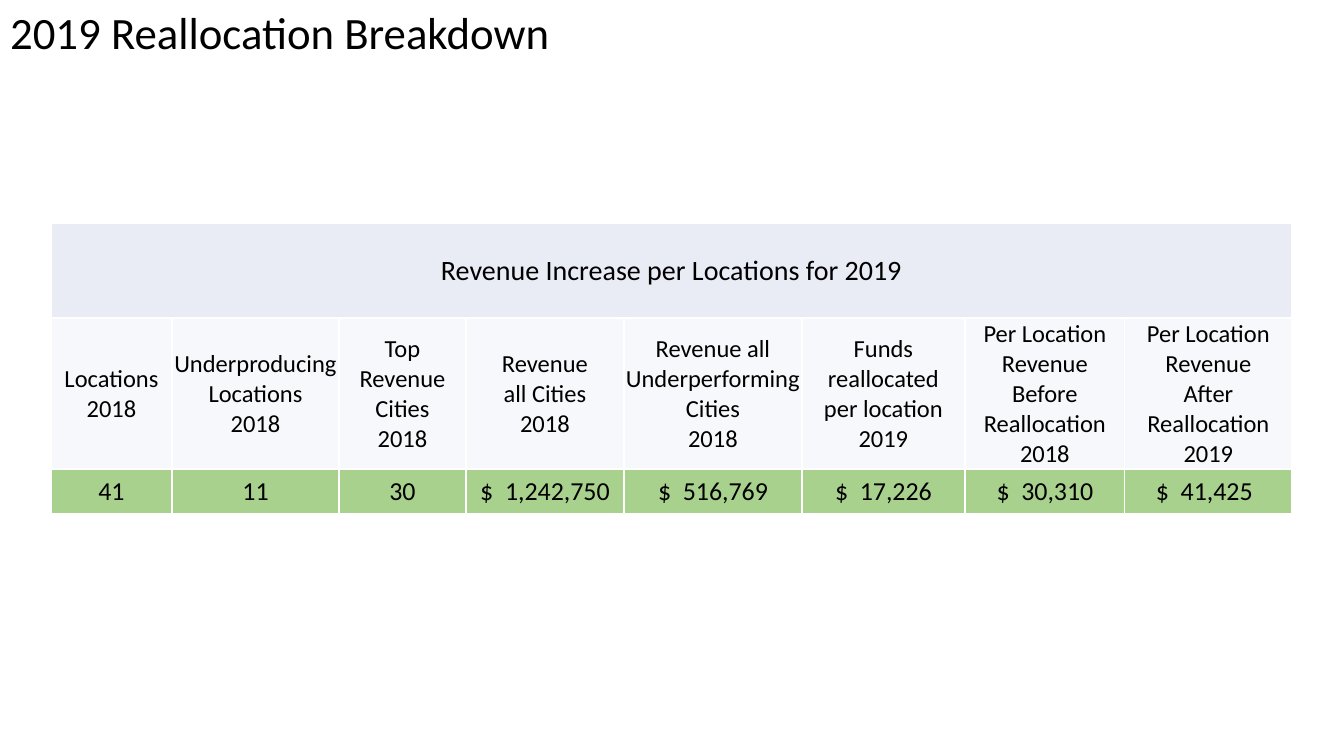
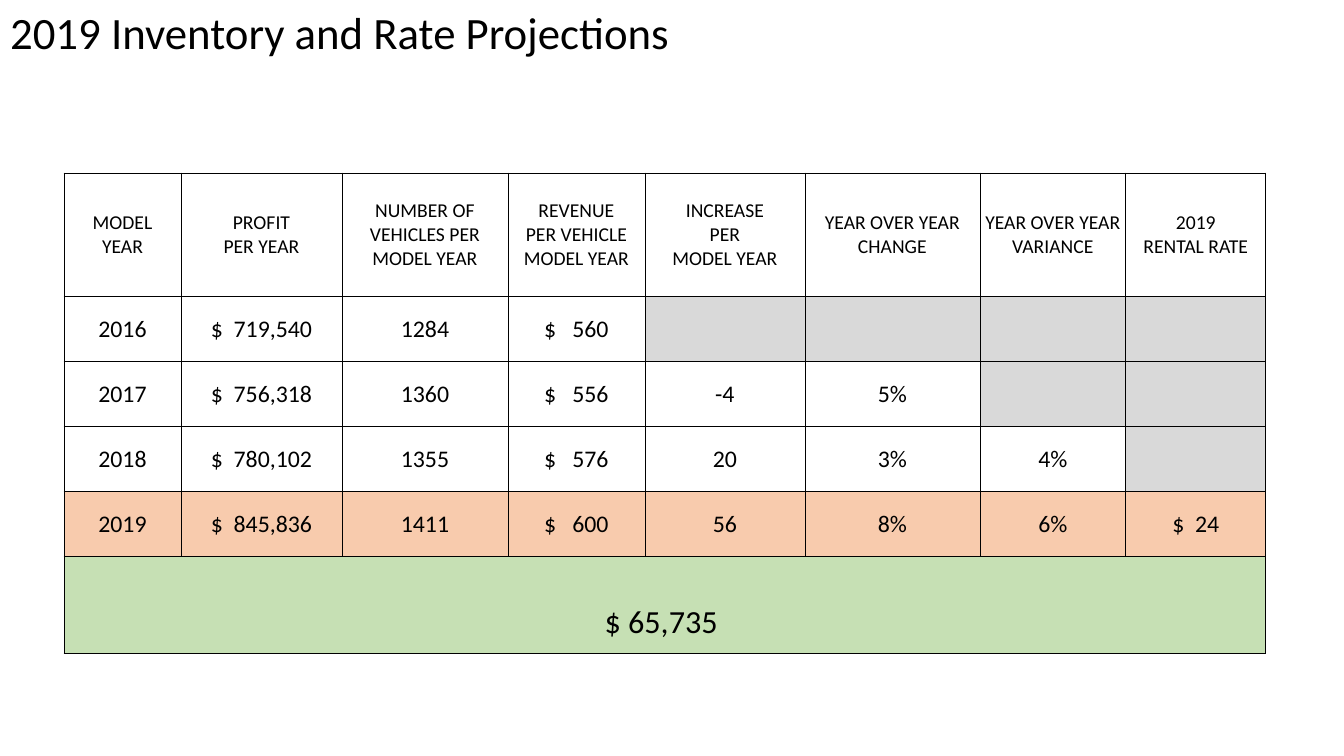
from lxml.etree import SubElement
from pptx import Presentation
from pptx.dml.color import RGBColor
from pptx.enum.text import MSO_ANCHOR as Anchor, MSO_AUTO_SIZE as AutoSize, PP_ALIGN as Align
from pptx.oxml.ns import qn
from pptx.util import Emu, Pt

EMU_PER_PX = 914400 / 100.8
BLACK, WHITE = "000000", "FFFFFF"
PALE, GREEN, MINT = "E9EBF5", "A9D18E", "C6E0B4"
GREY, PEACH = "D9D9D9", "F8CBAD"


def px(length):
    return Emu(round(length * EMU_PER_PX))


def color(value):
    return RGBColor.from_string(value)


class Deck:
    font = "Calibri"
    title_size = 32
    cell_margins = (1, 1, 1, 0)

    def __init__(self):
        self.presentation = Presentation()
        self.presentation.slide_width = px(1344)
        self.presentation.slide_height = px(756)
        self.slide = None

    def add_slide(self, title, title_width):
        layout = self.presentation.slide_layouts[5]
        self.slide = self.presentation.slides.add_slide(layout)
        shape = self.slide.shapes.title
        shape.left, shape.top = px(0), px(0)
        shape.width, shape.height = px(title_width), px(64)
        frame = shape.text_frame
        frame.word_wrap = True
        frame.auto_size = AutoSize.NONE
        frame.vertical_anchor = Anchor.TOP
        self.add_text(frame, title, self.title_size, Align.LEFT)

    def add_text(self, frame, text, size, align=Align.CENTER):
        for index, line in enumerate(text.split("\n")):
            paragraph = frame.add_paragraph() if index else frame.paragraphs[0]
            paragraph.alignment = align
            run = paragraph.add_run()
            run.text = line
            run.font.name = self.font
            run.font.size = Pt(size)
            run.font.color.rgb = color(BLACK)

    def set_margins(self, cell, left, top, right, bottom):
        cell.margin_left, cell.margin_top = px(left), px(top)
        cell.margin_right, cell.margin_bottom = px(right), px(bottom)

    def add_borders(self, cell, line_color, points):
        properties = cell._tc.get_or_add_tcPr()
        for side in ("lnL", "lnR", "lnT", "lnB"):
            line = SubElement(properties, qn(f"a:{side}"), w=str(Pt(points)))
            fill = SubElement(line, qn("a:solidFill"))
            SubElement(fill, qn("a:srgbClr"), val=line_color)

    def fill_cell(self, cell, fill, opacity=100):
        if fill is None:
            cell.fill.background()
            return
        cell.fill.solid()
        cell.fill.fore_color.rgb = color(fill)
        if opacity < 100:
            rgb = cell._tc.tcPr.find(f"{qn('a:solidFill')}/{qn('a:srgbClr')}")
            SubElement(rgb, qn("a:alpha"), val=str(opacity * 1000))

    def add_table(self, left, top, widths, rows, border):
        heights = [row["height"] for row in rows]
        table = self.slide.shapes.add_table(
            len(rows), len(widths), px(left), px(top), px(sum(widths)), px(sum(heights))
        ).table
        table.first_row = table.horz_banding = False
        for column, width in zip(table.columns, widths):
            column.width = px(width)
        for row_index, row in enumerate(rows):
            table.rows[row_index].height = px(row["height"])
            texts = row["texts"]
            for cell in table.rows[row_index].cells:
                self.set_margins(cell, *self.cell_margins)
                cell.vertical_anchor = Anchor.MIDDLE
                self.add_borders(cell, *border)
            if len(texts) == 1:
                table.cell(row_index, 0).merge(table.cell(row_index, len(widths) - 1))
            for column_index, text in enumerate(texts):
                cell = table.cell(row_index, column_index)
                if text is None:
                    self.fill_cell(cell, GREY)
                else:
                    self.fill_cell(cell, row.get("fill"), row.get("opacity", 100))
                    self.add_text(cell.text_frame, text, row["size"])
        return table


def add_reallocation(deck):
    deck.add_slide("2019 Reallocation Breakdown", 672)
    headings = [
        "Locations\n2018",
        "Underproducing Locations\n2018",
        "Top Revenue Cities\n2018",
        "Revenue\nall Cities\n2018",
        "Revenue all Underperforming Cities\n2018",
        "Funds reallocated\nper location\n2019",
        "Per Location Revenue\nBefore\nReallocation 2018",
        "Per Location Revenue\nAfter\nReallocation 2019",
    ]
    values = ["41", "11", "30", "$  1,242,750", "$  516,769", "$  17,226",
              "$  30,310", "$  41,425"]
    rows = [
        dict(height=95, size=20, fill=PALE, texts=["Revenue Increase per Locations for 2019"]),
        dict(height=151, size=17.5, fill=PALE, opacity=34, texts=headings),
        dict(height=45, size=18.5, fill=GREEN, texts=values),
    ]
    widths = [121, 167, 127, 158, 178, 163, 160, 167]
    table = deck.add_table(51, 223, widths, rows, (WHITE, 1))
    after_value = table.cell(2, 7)
    after_value.text_frame.paragraphs[0].alignment = Align.LEFT
    after_value.margin_left = px(31)


def add_projections(deck):
    deck.add_slide("2019 Inventory and Rate Projections", 686)
    headings = [
        "MODEL\nYEAR",
        "PROFIT\nPER YEAR",
        "NUMBER OF VEHICLES PER MODEL YEAR",
        "REVENUE\nPER VEHICLE MODEL YEAR",
        "INCREASE\nPER\nMODEL YEAR",
        "YEAR OVER YEAR CHANGE",
        "YEAR OVER YEAR VARIANCE",
        "2019\nRENTAL RATE",
    ]
    years = [
        ["2016", "$  719,540", "1284", "$   560", None, None, None, None],
        ["2017", "$  756,318", "1360", "$   556", "-4", "5%", None, None],
        ["2018", "$  780,102", "1355", "$   576", "20", "3%", "4%", None],
        ["2019", "$  845,836", "1411", "$   600", "56", "8%", "6%", "$  24"],
    ]
    rows = [dict(height=123, size=14, texts=headings)]
    rows += [dict(height=65, size=17, texts=texts) for texts in years]
    rows[-1]["fill"] = PEACH
    rows.append(dict(height=97, size=23, fill=MINT, texts=["$ 65,735 "]))
    widths = [117, 161, 166, 137, 160, 175, 146, 140]
    table = deck.add_table(64, 173, widths, rows, (BLACK, 0.5))
    total = table.cell(len(rows) - 1, 0)
    deck.set_margins(total, 14, 7, 14, 7)
    total.vertical_anchor = Anchor.TOP
    total.text_frame.paragraphs[0].line_spacing = 2.0


def main():
    deck = Deck()
    add_reallocation(deck)
    add_projections(deck)
    deck.presentation.save("out.pptx")


if __name__ == "__main__":
    main()
